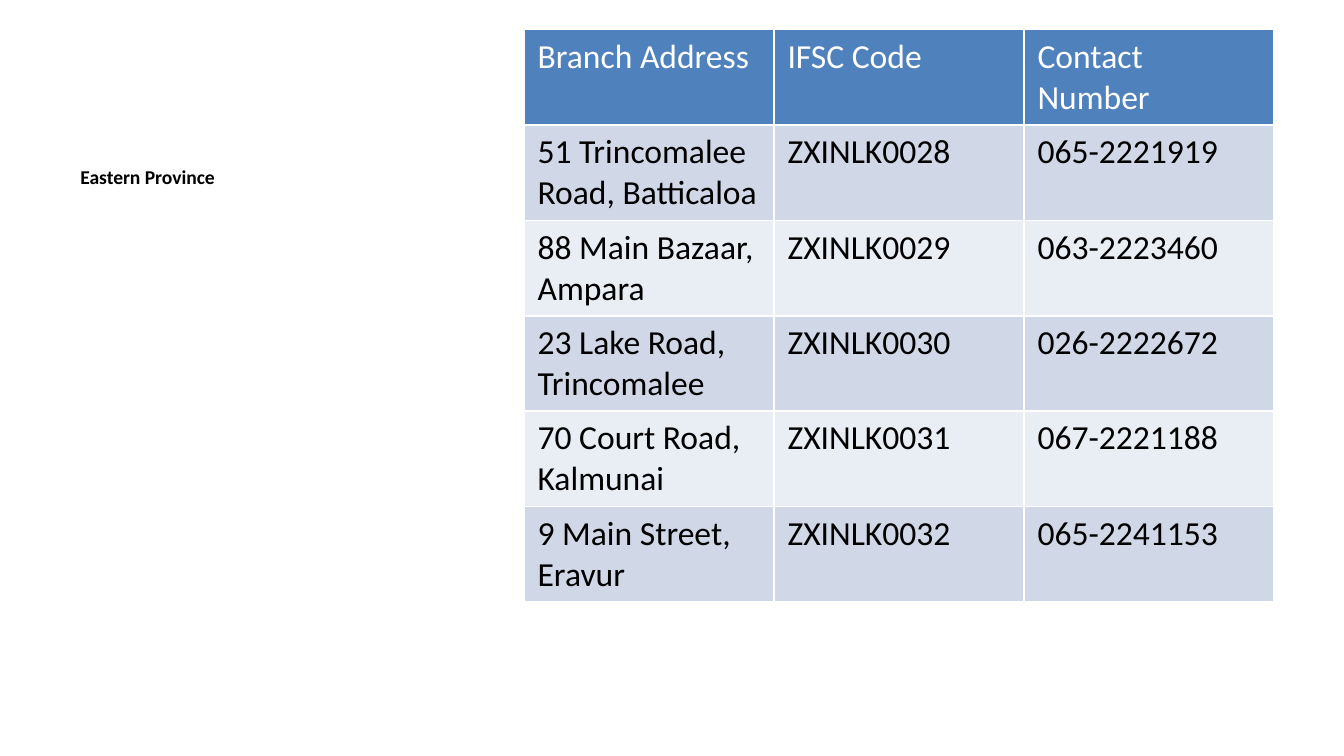
from dataclasses import dataclass

from pptx import Presentation
from pptx.dml.color import RGBColor
from pptx.enum.text import MSO_ANCHOR, PP_ALIGN
from pptx.util import Inches, Pt

LEFT = PP_ALIGN.LEFT
TOP = MSO_ANCHOR.TOP
BLANK_LAYOUT = 6


@dataclass(frozen=True)
class Theme:
    font: str = "Calibri"
    label_size: float = 10.5
    table_size: float = 18
    text: str = "000000"
    header_text: str = "FFFFFF"
    header_fill: str = "4F81BD"
    bands: tuple = ("D0D8E8", "E9EDF4")


THEME = Theme()

HEADER = ("Branch Address", "IFSC Code", "Contact Number")
BRANCHES = (
    ("51 Trincomalee Road, Batticaloa", "ZXINLK0028", "065-2221919"),
    ("88 Main Bazaar, Ampara", "ZXINLK0029", "063-2223460"),
    ("23 Lake Road, Trincomalee", "ZXINLK0030", "026-2222672"),
    ("70 Court Road, Kalmunai", "ZXINLK0031", "067-2221188"),
    ("9 Main Street, Eravur", "ZXINLK0032", "065-2241153"),
)


def write_text(tf, text, size, color=THEME.text, bold=False):
    tf.word_wrap = True
    p = tf.paragraphs[0]
    p.alignment = LEFT
    r = p.add_run()
    r.text = text
    r.font.name = THEME.font
    r.font.size = Pt(size)
    r.font.bold = bold
    r.font.color.rgb = RGBColor.from_string(color)


def add_label(s, text, left, top, width, height):
    box = s.shapes.add_textbox(Inches(left), Inches(top), Inches(width), Inches(height))
    box.text_frame.vertical_anchor = TOP
    write_text(box.text_frame, text, THEME.label_size, bold=True)


def add_branch_table(s, rows, left, top, col_width, row_height):
    """Add a table with a header row and alternating body bands.

    The white grid lines come from the default table style.
    """
    n_rows, n_cols = len(rows), len(rows[0])
    table = s.shapes.add_table(
        n_rows, n_cols, Inches(left), Inches(top),
        Inches(col_width * n_cols), Inches(row_height * n_rows),
    ).table
    for i, row in enumerate(rows):
        is_header = i == 0
        fill = THEME.header_fill if is_header else THEME.bands[(i - 1) % 2]
        color = THEME.header_text if is_header else THEME.text
        for j, text in enumerate(row):
            cell = table.cell(i, j)
            cell.fill.solid()
            cell.fill.fore_color.rgb = RGBColor.from_string(fill)
            write_text(cell.text_frame, text, THEME.table_size, color=color)


def main():
    prs = Presentation()
    prs.slide_width = Inches(10)
    prs.slide_height = prs.slide_width * 9 // 16
    s = prs.slides.add_slide(prs.slide_layouts[BLANK_LAYOUT])
    add_label(s, "Eastern Province", 0.5, 1.18, 3.29, 3.85)
    add_branch_table(s, (HEADER, *BRANCHES), 3.9, 0.22, 1.86, 0.71)
    prs.save("out.pptx")


if __name__ == "__main__":
    main()
